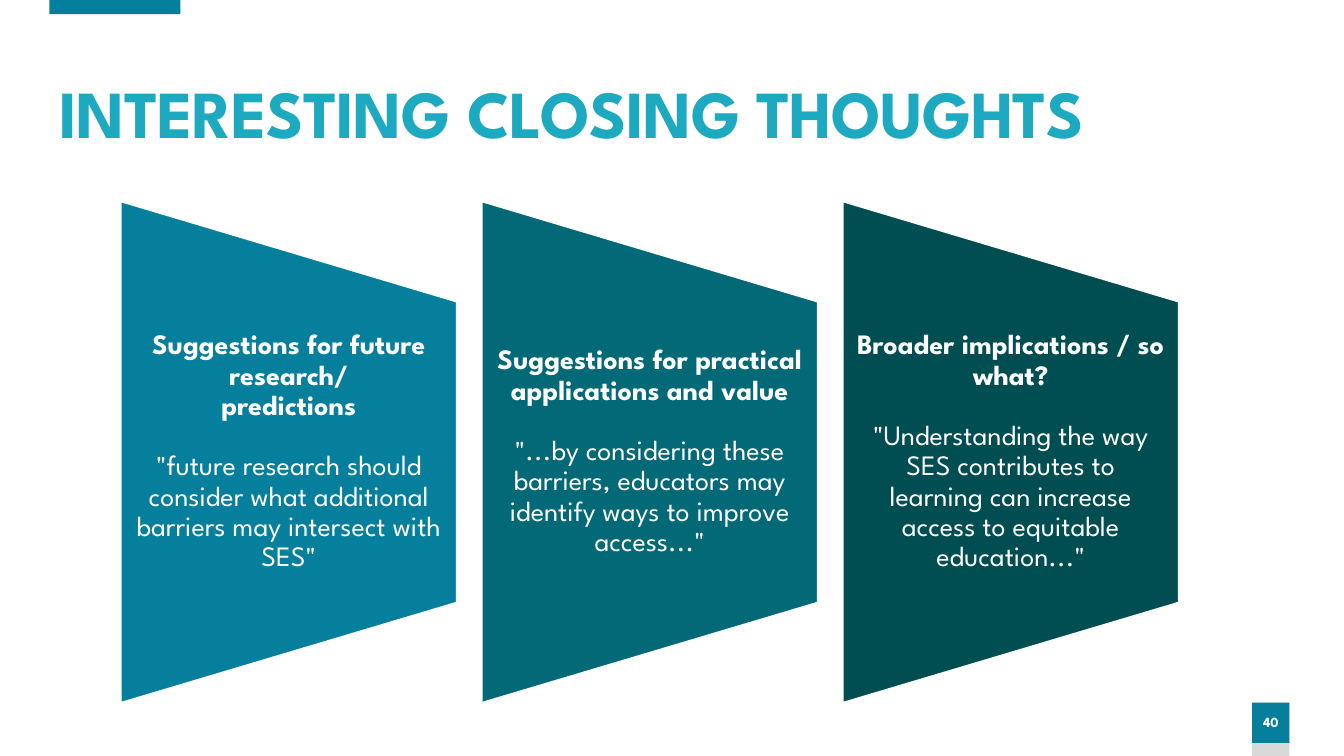
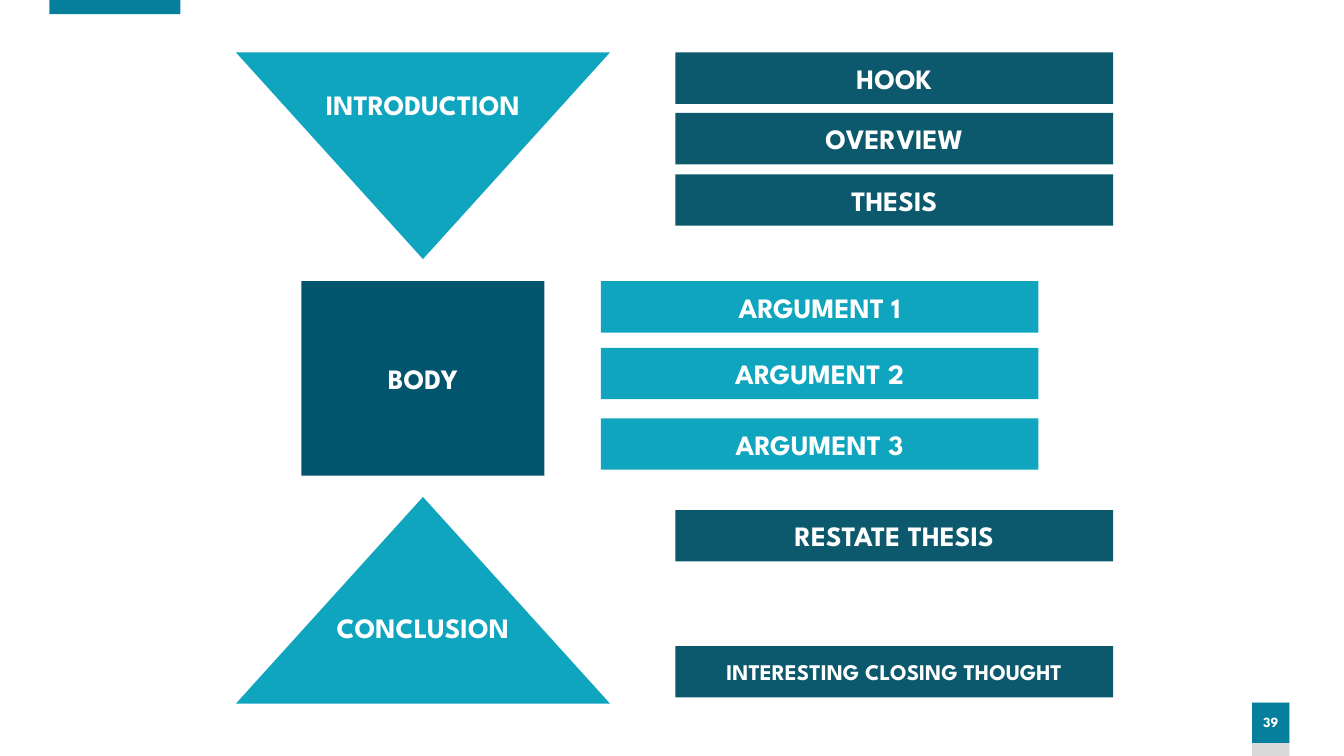
from dataclasses import dataclass

from pptx import Presentation
from pptx.dml.color import RGBColor
from pptx.enum.shapes import MSO_SHAPE
from pptx.enum.text import MSO_ANCHOR, PP_ALIGN
from pptx.util import Inches, Pt

RECT = MSO_SHAPE.RECTANGLE
UP = MSO_SHAPE.ISOSCELES_TRIANGLE
DOWN = MSO_SHAPE.FLOWCHART_MERGE
TAPER = MSO_SHAPE.FLOWCHART_MANUAL_OPERATION
TOP, MIDDLE = MSO_ANCHOR.TOP, MSO_ANCHOR.MIDDLE
LEFT, CENTER = PP_ALIGN.LEFT, PP_ALIGN.CENTER


@dataclass(frozen=True)
class Theme:
    font: str = "League Spartan"
    white: str = "FFFFFF"
    grey: str = "D9D9D9"
    accent: str = "067F9C"
    title: str = "1DA9BF"
    bright: str = "0FA5BE"
    deep: str = "03556D"
    dark: str = "0C596D"
    panels: tuple = ("067F9C", "036977", "014E52")
    title_size: float = 48
    body_size: float = 20
    small_size: float = 16
    page_size: float = 10
    tight: float = 0.9


THEME = Theme()

# Panel heading lines and quote
PANELS = [
    (["Suggestions for future research/", "predictions"],
     '"future research should consider what additional barriers '
     'may intersect with SES"'),
    (["Suggestions for practical applications and value"],
     '"...by considering these barriers, educators may identify '
     'ways to improve access..."'),
    (["Broader implications / so what?"],
     '"Understanding the way SES contributes to learning can '
     'increase access to equitable education..."'),
]

# Bar columns: left edge, fill, then top, label and type size of each bar
BARS = [
    (6.7, THEME.dark, [
        (0.52, "HOOK", THEME.body_size),
        (1.12, "OVERVIEW", THEME.body_size),
        (1.73, "THESIS", THEME.body_size),
        (5.06, "RESTATE THESIS", THEME.body_size),
        (6.41, "INTERESTING CLOSING THOUGHT", THEME.small_size),
    ]),
    (5.96, THEME.bright, [
        (2.79, "ARGUMENT 1", THEME.body_size),
        (3.45, "ARGUMENT 2", THEME.body_size),
        (4.15, "ARGUMENT 3", THEME.body_size),
    ]),
]


def rgb(code):
    return RGBColor.from_string(code)


def add_run(para, text, size, color=THEME.white, bold=True):
    run = para.add_run()
    run.text = text
    font = run.font
    font.name, font.size, font.bold = THEME.font, Pt(size), bold
    font.color.rgb = rgb(color)
    return run


def set_frame(frame, side=0.1, edge=0.05, anchor=MIDDLE, wrap=True):
    frame.margin_left = frame.margin_right = Inches(side)
    frame.margin_top = frame.margin_bottom = Inches(edge)
    frame.vertical_anchor = anchor
    frame.word_wrap = wrap


def set_para(para, align=CENTER, spacing=1.0):
    para.alignment = align
    para.line_spacing = spacing
    return para


def add_shape(shapes, kind, box, fill, line=None):
    shape = shapes.add_shape(kind, *map(Inches, box))
    shape.shadow.inherit = False
    shape.fill.solid()
    shape.fill.fore_color.rgb = rgb(fill)
    if line:
        shape.line.color.rgb = rgb(line)
        shape.line.width = Pt(1)
    else:
        shape.line.fill.background()
    return shape


def add_label(shape, text, size, spacing=1.0, **frame):
    set_frame(shape.text_frame, **frame)
    para = set_para(shape.text_frame.paragraphs[0], spacing=spacing)
    add_run(para, text, size)


def add_slide(deck, page):
    """Blank slide with the top band and the page marker."""
    shapes = deck.slides.add_slide(deck.slide_layouts[6]).shapes
    add_shape(shapes, RECT, (0.49, 0, 1.3, 0.14), THEME.accent)
    add_shape(shapes, RECT, (12.42, 6.97, 0.37, 0.53), THEME.grey)
    mark = add_shape(shapes, RECT, (12.42, 6.97, 0.37, 0.4), THEME.accent)
    add_label(mark, page, THEME.page_size, THEME.tight, side=0)
    return shapes


def add_title(shapes, text):
    box = shapes.add_textbox(*map(Inches, (0.49, 0.74, 12.84, 0.83)))
    set_frame(box.text_frame)
    para = set_para(box.text_frame.paragraphs[0], LEFT, THEME.tight)
    run = add_run(para, text, THEME.title_size, THEME.title)
    run.font._element.set("spc", "-60")


def add_panel(shapes, left, fill, lines, quote):
    """Tapered panel, turned to face right, with heading and quote."""
    top, wide, tall = 2.0, 3.33, 4.97
    group = shapes.add_group_shape().shapes
    shift = (tall - wide) / 2
    panel = add_shape(group, TAPER, (left - shift, top + shift, tall, wide),
                      fill, THEME.white)
    panel.rotation = 270

    box = group.add_textbox(*map(Inches, (left, 2.99, wide, 2.98)))
    frame = box.text_frame
    set_frame(frame, side=0.14, edge=0)
    head = set_para(frame.paragraphs[0], spacing=THEME.tight)
    for i, line in enumerate(lines):
        if i:
            head.add_line_break()
        add_run(head, line, THEME.body_size)
    body = set_para(frame.add_paragraph(), spacing=THEME.tight)
    body.space_before = Pt(21.6)
    add_run(body, quote, THEME.body_size, bold=False)


def build_closing(deck):
    shapes = add_slide(deck, "40")
    add_title(shapes, "INTERESTING CLOSING THOUGHTS")
    for i, (lines, quote) in enumerate(PANELS):
        add_panel(shapes, 1.2 + i * 3.58, THEME.panels[i], lines, quote)


def build_outline(deck):
    shapes = add_slide(deck, "39")

    # Essay parts
    intro = add_shape(shapes, DOWN, (2.34, 0.52, 3.71, 2.05), THEME.bright)
    add_label(intro, "INTRODUCTION", THEME.body_size, wrap=False)
    body = add_shape(shapes, RECT, (2.99, 2.79, 2.41, 1.93), THEME.deep)
    add_label(body, "BODY", THEME.body_size)
    close = add_shape(shapes, UP, (2.34, 4.93, 3.71, 2.05), THEME.bright)
    add_label(close, "CONCLUSION", THEME.body_size, edge=0.1, anchor=TOP,
              wrap=False)

    # Steps within each part
    for left, fill, bars in BARS:
        for top, text, size in bars:
            bar = add_shape(shapes, RECT, (left, top, 4.34, 0.51), fill)
            add_label(bar, text, size)


def main():
    deck = Presentation()
    deck.slide_width, deck.slide_height = Inches(13.33), Inches(7.5)
    build_closing(deck)
    build_outline(deck)
    deck.save("out.pptx")


if __name__ == "__main__":
    main()
